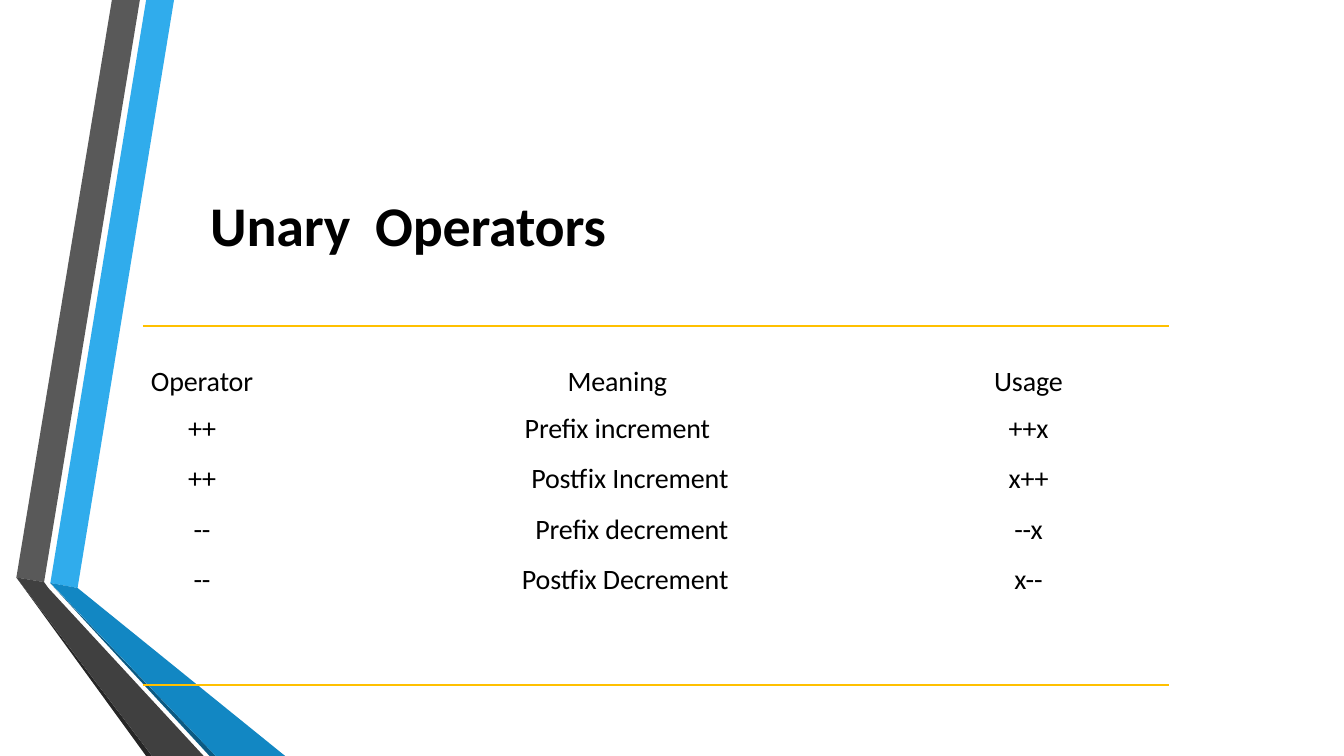
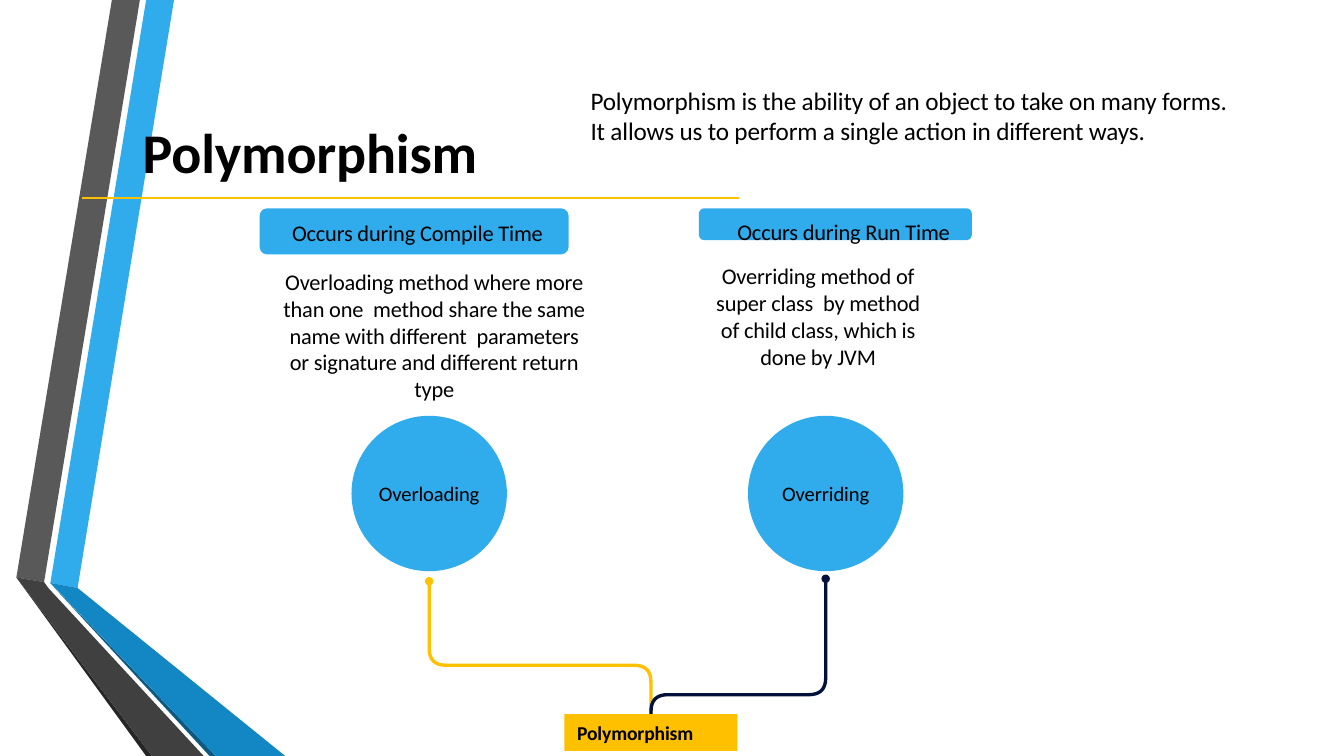
from lxml import etree
from pptx import Presentation
from pptx import util as u
from pptx.dml.color import RGBColor
from pptx.enum import shapes, text
from pptx.oxml.ns import qn

COLS, ROWS = 160, 90  # square grid cells on a 16:9 slide
CELL = u.Inches(7.5) / ROWS
FONT = "Calibri"
TITLE_SIZE = 40
HUES = {
    "ink": "000000", "sky": "30ACEC", "blue": "1287C3", "deep": "0C5A82",
    "grey": "595959", "dark": "404040", "coal": "262626",
    "gold": "FFC000", "navy": "001239",
}
ALIGN = {"l": text.PP_ALIGN.LEFT, "c": text.PP_ALIGN.CENTER, "r": text.PP_ALIGN.RIGHT}
ANCHOR = {"t": text.MSO_ANCHOR.TOP, "m": text.MSO_ANCHOR.MIDDLE}

# Side band: outlines in grid cells, back to front
BAND = [
    ("sky", [(6, 69.4), (9.24, 70), (20.72, 0), (17.4, 0)]),
    ("grey", [(16.65, 0), (13.32, 0), (1.95, 68.75), (5.25, 69.3)]),
    ("coal", [(1.95, 68.75), (17.4, 90), (18.1, 90)]),
    ("deep", [(6, 69.45), (24.95, 90), (25.7, 90)]),
    ("blue", [(6, 69.4), (25.7, 90), (33.95, 90), (9.24, 70)]),
    ("dark", [(1.95, 68.75), (18.1, 90), (24.25, 90), (5.75, 70), (5.25, 69.3)]),
]


def cells(*counts):
    """Turn counts of grid cells into lengths."""
    return [u.Emu(round(n * CELL)) for n in counts]


def hue(name):
    return RGBColor.from_string(HUES[name])


def write(frame, words, size=16, bold=False, align="l", anchor="t", pad=(0, 0)):
    """Put one paragraph per line of words into a text frame."""
    frame.word_wrap = True
    frame.auto_size = text.MSO_AUTO_SIZE.NONE
    frame.vertical_anchor = ANCHOR[anchor]
    frame.margin_left, frame.margin_top = cells(*pad)
    frame.margin_right = frame.margin_bottom = 0
    for i, line in enumerate(words.split("\n")):
        para = frame.add_paragraph() if i else frame.paragraphs[0]
        para.alignment = ALIGN[align]
        run = para.add_run()
        run.text = line
        run._r.get_or_add_rPr().set("spc", "-10")
        font = run.font
        font.name, font.size, font.bold = FONT, u.Pt(size), bold
        font.color.rgb = hue("ink")


def bend(points, radius):
    """Round the inner corners of a right-angled route."""
    route = [points[0]]
    for before, turn, after in zip(points, points[1:], points[2:]):
        ends = []
        for x, y in (before, after):
            dx, dy = x - turn[0], y - turn[1]
            share = radius / (abs(dx) + abs(dy))
            ends.append((turn[0] + dx * share, turn[1] + dy * share))
        for step in range(9):
            t = step / 8
            route.append(tuple(
                (1 - t) ** 2 * a + 2 * t * (1 - t) * m + t ** 2 * b
                for a, m, b in zip(ends[0], turn, ends[1])))
    return route + [points[-1]]


class Deck:
    def __init__(self):
        self.prs = Presentation()
        self.prs.slide_width, self.prs.slide_height = cells(COLS, ROWS)
        self.base = self.prs.slide_layouts.get_by_name("Title Only")
        self.slide = None

    def page(self, title, *box):
        first = self.slide is None
        self.slide = self.prs.slides.add_slide(self.base)
        if first:
            self.band()
        head = self.slide.shapes.title
        head.left, head.top, head.width, head.height = cells(*box)
        write(head.text_frame, title, size=TITLE_SIZE, bold=True, align="c", anchor="m")

    def band(self):
        """Place the side band on the shared layout."""
        for tone, points in BAND:
            part = self.outline(points, True)
            self.paint(part, tone)
            self.base.shapes._spTree.append(part._element)

    def outline(self, points, close):
        spots = [cells(*p) for p in points]
        pen = self.slide.shapes.build_freeform(*spots[0])
        pen.add_line_segments(spots[1:], close=close)
        return pen.convert_to_shape()

    def paint(self, shape, tone):
        shape.shadow.inherit = False
        shape.fill.solid()
        shape.fill.fore_color.rgb = hue(tone)
        shape.line.fill.background()

    def form(self, kind, tone, *box):
        shape = self.slide.shapes.add_shape(kind, *cells(*box))
        self.paint(shape, tone)
        return shape

    def disc(self, tone, x, y, size):
        return self.form(shapes.MSO_SHAPE.OVAL, tone, x - size / 2, y - size / 2, size, size)

    def note(self, words, *box, **style):
        write(self.slide.shapes.add_textbox(*cells(*box)).text_frame, words, **style)

    def rule(self, left, right, y):
        line = self.slide.shapes.add_connector(
            shapes.MSO_CONNECTOR.STRAIGHT, *cells(left, y, right, y))
        line.line.color.rgb = hue("gold")
        line.line.width = u.Pt(1.5)
        etree.SubElement(line._element.spPr, qn("a:effectLst"))

    def link(self, tone, points, radius):
        """Draw a rounded route that starts at a dot."""
        route = self.outline(bend(points, radius), False)
        route.shadow.inherit = False
        route.fill.background()
        route.line.color.rgb = hue(tone)
        route.line.width = u.Pt(2.4)
        self.disc(tone, *points[0], 1)

    def grid(self, rows, left, top, widths, heights, style):
        box = cells(left, top, sum(widths), sum(heights))
        table = self.slide.shapes.add_table(len(heights), len(widths), *box).table
        table.first_row = table.horz_banding = False
        for col, width in zip(table.columns, cells(*widths)):
            col.width = width
        for row, height in zip(table.rows, cells(*heights)):
            row.height = height
        for cell in table.iter_cells():
            cell.fill.background()
            cell.margin_left = cell.margin_right = 0
            cell.margin_top = cell.margin_bottom = 0
        for r, row in enumerate(rows):
            for c, words in enumerate(row):
                align, before, after, above = style(r, c)
                cell = table.cell(r, c)
                write(cell.text_frame, words, size=20, align=align)
                cell.margin_left, cell.margin_right, cell.margin_top = cells(
                    before, after, above)


def unary(deck):
    deck.page("Unary  Operators", 15.8, 21.9, 65.6, 9.6)

    # Operator table
    rows = [
        ("Operator", "Meaning", "Usage"),
        ("++", "Prefix increment", "++x"),
        ("++", "Postfix Increment", "x++"),
        ("--", "Prefix decrement", "--x"),
        ("--", "Postfix Decrement", "x--"),
    ]

    def style(r, c):
        above = 1.4 if r else 4.6
        if c == 1 and r > 1:
            return "r", 0, 15.1, above
        return "c", (0, 0, 13.3)[c], (14.1, 0, 0)[c], above

    deck.grid(rows, 17, 38.8, (28.2, 56.6, 28), (8.8, 6, 6, 6, 6, 4.2), style)

    # Rules above and below
    for y in (38.8, 81.6):
        deck.rule(17, 139.2, y)


def poly(deck):
    deck.page("Polymorphism", 8.9, 13.2, 56, 9.6)
    deck.note("Polymorphism is the ability of an object to take on many forms.\n"
              "It allows us to perform a single action in different ways.",
              70.3, 10.1, 80, 7.5, size=18)
    deck.rule(9.8, 88, 23.55)

    # Links from the two kinds down to the root
    left, right, root, foot = 51.1, 98.3, 77.5, 88
    deck.link("gold", [(left, 69.2), (left, 79.2), (root, 79.2), (root, foot)], 2)
    deck.link("navy", [(right, 68.9), (right, 82.7), (root, 82.7), (root, foot)], 2)
    bar = deck.form(shapes.MSO_SHAPE.RECTANGLE, "gold", 67.2, 85, 20.6, 4.4)
    write(bar.text_frame, "Polymorphism", size=14, bold=True, anchor="m", pad=(1.5, 0))

    # The two kinds
    for x, name in ((left, "Overloading"), (right, "Overriding")):
        disc = deck.disc("sky", x, 58.75, 18.5)
        write(disc.text_frame, name, size=14.7, align="c", anchor="m")

    # When each kind occurs
    for words, x, width, height, inset in (
            ("Occurs during Compile Time", 30.9, 36.8, 5.5, 3.6),
            ("Occurs during Run Time", 83.2, 32.5, 3.8, 4.4)):
        tag = deck.form(shapes.MSO_SHAPE.ROUNDED_RECTANGLE, "sky", x, 24.8, width, height)
        write(tag.text_frame, words, pad=(inset, 1))

    # What each kind means
    deck.note("Overloading method where more than one  method share the same name "
              "with different  parameters or signature and different return type",
              33.2, 31.9, 37, 16.2, align="c")
    deck.note("Overriding method of super class  by method of child class, "
              "which is done by JVM",
              84.4, 31.2, 26, 13, align="c")


def main():
    deck = Deck()
    unary(deck)
    poly(deck)
    deck.prs.save("out.pptx")


if __name__ == "__main__":
    main()
